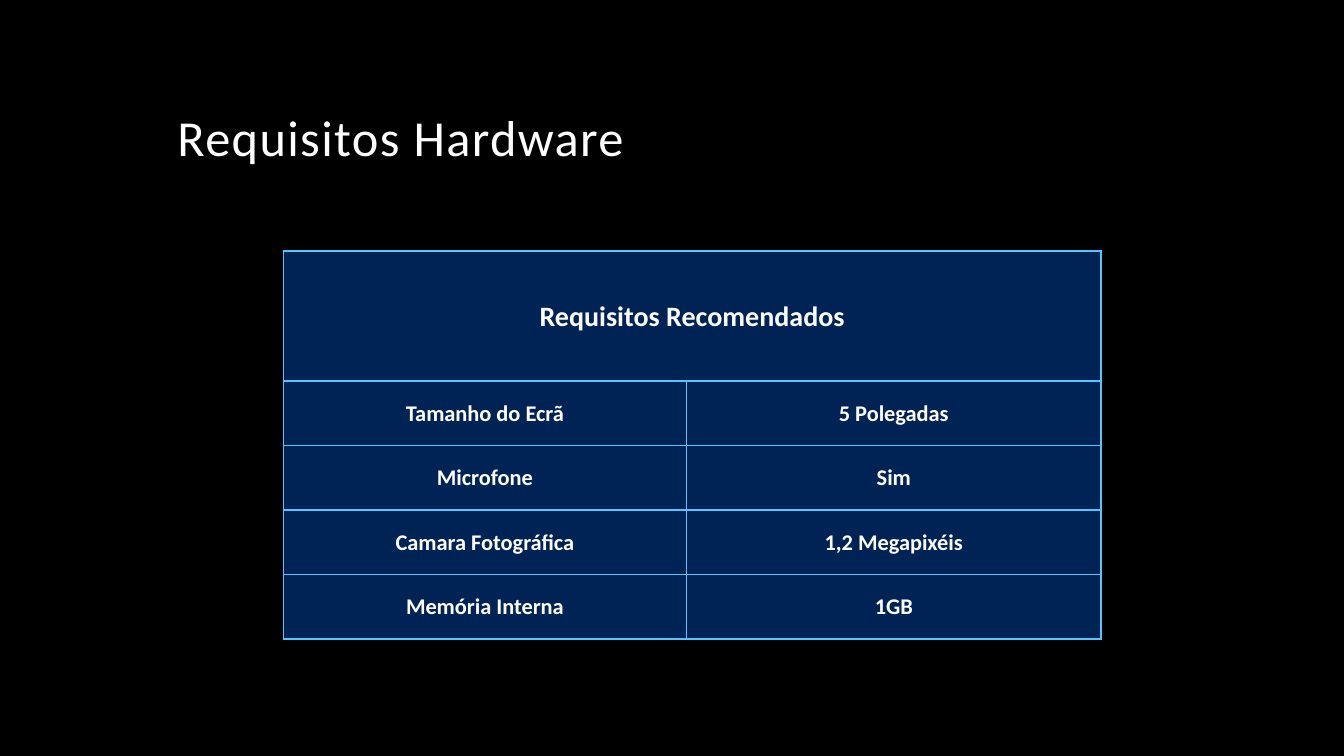
from lxml.etree import SubElement
from pptx import Presentation
from pptx.dml.color import RGBColor
from pptx.enum.text import MSO_ANCHOR, MSO_AUTO_SIZE, PP_ALIGN
from pptx.oxml.ns import qn
from pptx.util import Inches, Pt

BLACK = RGBColor(0x00, 0x00, 0x00)
WHITE = RGBColor(0xFF, 0xFF, 0xFF)
NAVY = RGBColor(0x00, 0x23, 0x56)
SKY = RGBColor(0x56, 0xC5, 0xFF)
FONT = "Calibri"

TABLE_TITLE = "Requisitos Recomendados"
REQUIREMENTS = [
    ("Tamanho do Ecrã", "5 Polegadas"),
    ("Microfone", "Sim"),
    ("Camara Fotográfica", "1,2 Megapixéis"),
    ("Memória Interna", "1GB"),
]
COLUMN_WIDTHS = (4, 4.11)
HEADER_HEIGHT, ROW_HEIGHT = 1.29, 0.64


def format_text(paragraph, size, align, bold=False):
    paragraph.alignment = align
    for run in paragraph.runs:
        run.font.name = FONT
        run.font.size = Pt(size)
        run.font.bold = bold
        run.font.color.rgb = WHITE


def set_title(slide, text):
    title = slide.shapes.title
    title.left, title.top = Inches(1.66), Inches(0.42)
    title.width, title.height = Inches(10), Inches(1.29)
    frame = title.text_frame
    frame.text = text
    frame.word_wrap = True
    frame.auto_size = MSO_AUTO_SIZE.NONE
    frame.vertical_anchor = MSO_ANCHOR.BOTTOM
    paragraph = frame.paragraphs[0]
    paragraph.line_spacing = 0.9
    format_text(paragraph, 36, PP_ALIGN.LEFT)
    # Letter spacing of one point
    paragraph.runs[0].font._element.set("spc", "100")


def set_borders(cell):
    properties = cell._tc.get_or_add_tcPr()
    # Border lines must precede the fill
    for index, side in enumerate(("lnL", "lnR", "lnT", "lnB")):
        line = SubElement(properties, qn(f"a:{side}"), w=str(Pt(1)))
        fill = SubElement(line, qn("a:solidFill"))
        SubElement(fill, qn("a:srgbClr"), val=str(SKY))
        properties.insert(index, line)


def style_cell(cell):
    cell.fill.solid()
    cell.fill.fore_color.rgb = NAVY
    cell.vertical_anchor = MSO_ANCHOR.MIDDLE
    cell.margin_left = cell.margin_right = cell.margin_top = Inches(0.01)
    cell.margin_bottom = 0
    set_borders(cell)


def fill_cell(cell, text, size):
    cell.text = text
    format_text(cell.text_frame.paragraphs[0], size, PP_ALIGN.CENTER, bold=True)


def add_requirements_table(slide):
    row_heights = [HEADER_HEIGHT] + [ROW_HEIGHT] * len(REQUIREMENTS)
    table = slide.shapes.add_table(
        len(row_heights), len(COLUMN_WIDTHS), Inches(2.81), Inches(2.49),
        Inches(sum(COLUMN_WIDTHS)), Inches(sum(row_heights))).table
    for column, width in zip(table.columns, COLUMN_WIDTHS):
        column.width = Inches(width)
    for row, height in zip(table.rows, row_heights):
        row.height = Inches(height)
    for cell in table.iter_cells():
        style_cell(cell)

    # Header across both columns
    table.cell(0, 0).merge(table.cell(0, 1))
    fill_cell(table.cell(0, 0), TABLE_TITLE, 20)

    # One row per requirement
    for row_index, requirement in enumerate(REQUIREMENTS, start=1):
        for column_index, text in enumerate(requirement):
            fill_cell(table.cell(row_index, column_index), text, 16)


def main():
    presentation = Presentation()
    presentation.slide_width = Inches(13.33)
    presentation.slide_height = Inches(7.5)
    slide = presentation.slides.add_slide(presentation.slide_layouts[5])
    slide.background.fill.solid()
    slide.background.fill.fore_color.rgb = BLACK

    set_title(slide, "Requisitos Hardware")
    add_requirements_table(slide)
    presentation.save("out.pptx")


if __name__ == "__main__":
    main()
